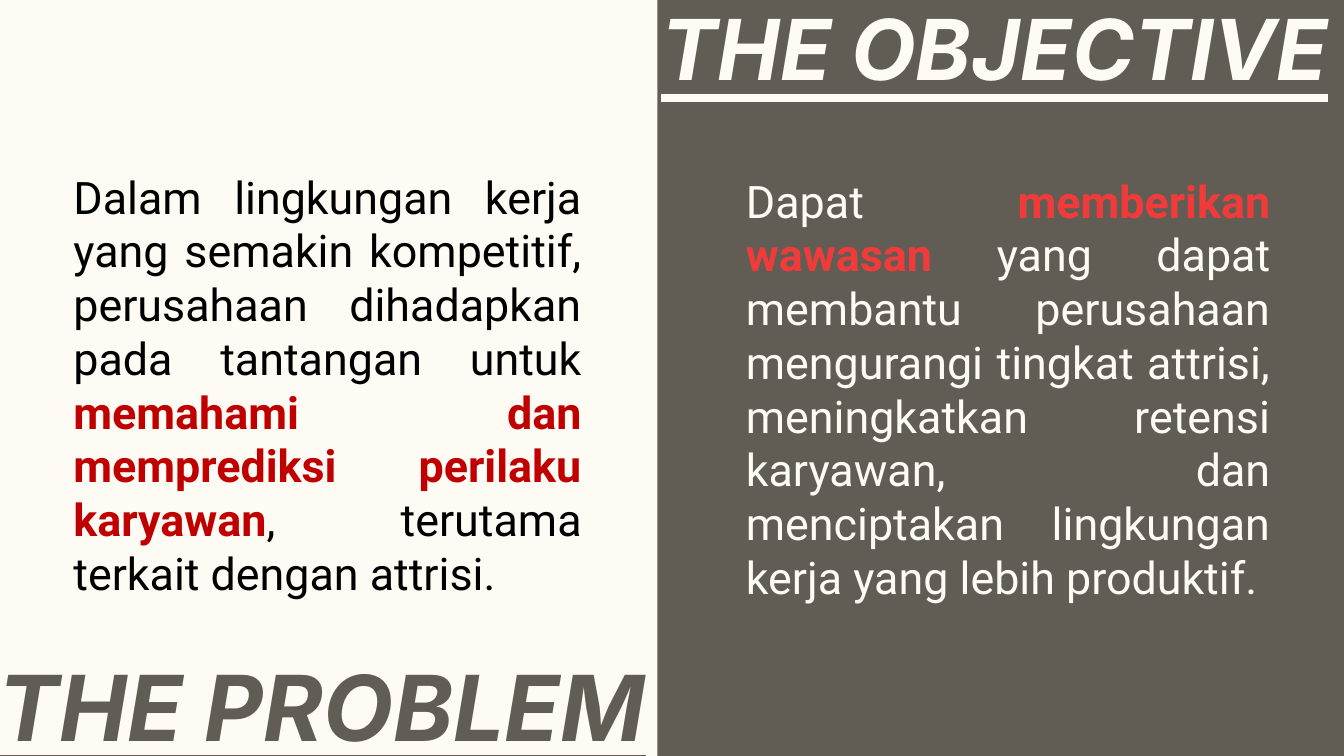
from dataclasses import dataclass
from typing import NamedTuple

from pptx import Presentation
from pptx import util as u
from pptx.dml.color import RGBColor
from pptx.enum import shapes, text

PX = 9144  # EMU per px, 100 px to the inch


@dataclass(frozen=True)
class Theme:
    cream: str = "FEFBF4"
    taupe: str = "625D54"
    black: str = "000000"
    dark_red: str = "C00000"
    light_red: str = "F13B3B"
    heading_font: str = "Inter"
    body_font: str = "Roboto"
    problem_size: int = 65
    objective_size: int = 60
    body_size: int = 32


THEME = Theme()


class Box(NamedTuple):
    left: int
    top: int
    width: int
    height: int

    def emu(self) -> list[u.Emu]:
        return [u.Emu(v * PX) for v in self]


class Panel(NamedTuple):
    box: Box
    color: str


class Heading(NamedTuple):
    box: Box
    words: str
    size: int
    color: str


class Body(NamedTuple):
    box: Box
    color: str
    accent: str
    before: str
    stressed: str
    after: str


PANELS = [
    Panel(Box(-13, 0, 1346, 750), THEME.cream),
    Panel(Box(652, -17, 682, 777), THEME.taupe),
]
HEADINGS = [
    Heading(Box(-11, 612, 1453, 188), "THE PROBLEM", THEME.problem_size, THEME.taupe),
    Heading(Box(646, -41, 1453, 188), "THE OBJECTIVE", THEME.objective_size, THEME.cream),
]
BODIES = [
    Body(
        Box(63, 163, 524, 490), THEME.black, THEME.dark_red,
        "Dalam lingkungan kerja yang semakin kompetitif, perusahaan dihadapkan "
        "pada tantangan untuk ",
        "memahami dan memprediksi perilaku karyawan",
        ", terutama terkait dengan attrisi.",
    ),
    Body(
        Box(730, 167, 540, 490), THEME.cream, THEME.light_red,
        "Dapat ",
        "memberikan wawasan ",
        "yang dapat membantu perusahaan mengurangi tingkat attrisi, meningkatkan "
        "retensi karyawan, dan menciptakan lingkungan kerja yang lebih produktif.",
    ),
]


def add_panel(s, panel: Panel) -> None:
    sp = s.shapes.add_shape(shapes.MSO_SHAPE.RECTANGLE, *panel.box.emu())
    sp.shadow.inherit = False
    sp.fill.solid()
    sp.fill.fore_color.rgb = RGBColor.from_string(panel.color)
    sp.line.fill.background()


def add_text_frame(s, box: Box):
    tf = s.shapes.add_textbox(*box.emu()).text_frame
    tf.word_wrap = True
    return tf


def add_run(p, words: str, font: str, size: int, color: str, bold: bool):
    r = p.add_run()
    r.text = words
    r.font.name = font
    r.font.size = u.Pt(size)
    r.font.bold = bold
    r.font.color.rgb = RGBColor.from_string(color)
    return r


def add_heading(s, heading: Heading) -> None:
    tf = add_text_frame(s, heading.box)
    tf.vertical_anchor = text.MSO_ANCHOR.MIDDLE
    p = tf.paragraphs[0]
    p.line_spacing = 0.9
    r = add_run(p, heading.words, THEME.heading_font, heading.size, heading.color, True)
    r.font.italic = True
    r.font.underline = True


def add_body(s, body: Body) -> None:
    tf = add_text_frame(s, body.box)
    tf.auto_size = text.MSO_AUTO_SIZE.SHAPE_TO_FIT_TEXT
    p = tf.paragraphs[0]
    p.alignment = text.PP_ALIGN.JUSTIFY
    for words, color, bold in (
        (body.before, body.color, False),
        (body.stressed, body.accent, True),
        (body.after, body.color, False),
    ):
        add_run(p, words, THEME.body_font, THEME.body_size, color, bold)


def main() -> None:
    prs = Presentation()
    prs.slide_width, prs.slide_height = u.Emu(1333 * PX), u.Emu(750 * PX)
    s = prs.slides.add_slide(prs.slide_layouts[6])
    s.background.fill.solid()
    s.background.fill.fore_color.rgb = RGBColor.from_string(THEME.taupe)
    for panel in PANELS:
        add_panel(s, panel)
    for heading in HEADINGS:
        add_heading(s, heading)
    for body in BODIES:
        add_body(s, body)
    prs.save("out.pptx")


if __name__ == "__main__":
    main()
